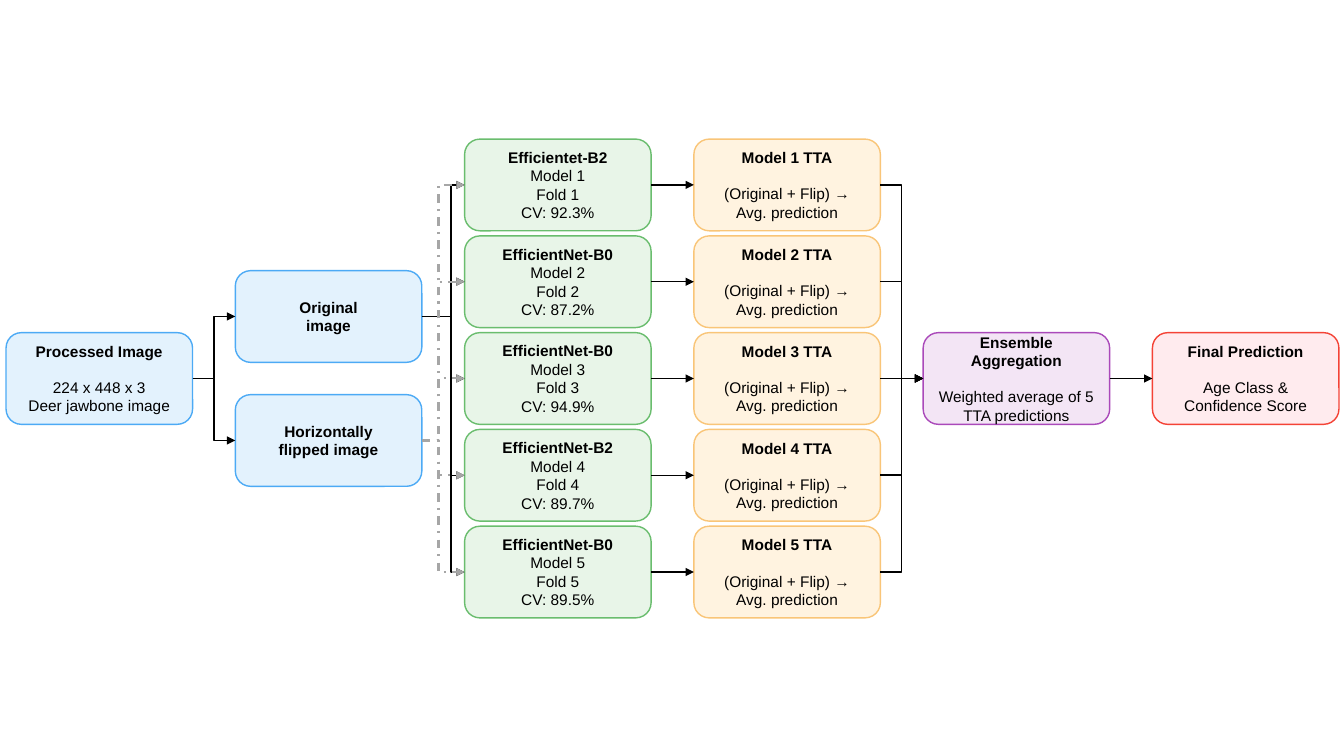
from dataclasses import dataclass

from lxml import etree
from pptx import Presentation
from pptx import util as u
from pptx.dml.color import RGBColor
from pptx.enum import dml, shapes, text
from pptx.oxml import ns


@dataclass(frozen=True)
class Theme:
    font: str = "Arial"
    size: float = 11
    gap: float = 12.6
    ink: str = "000000"
    muted: str = "A6A6A6"
    thin: float = 1
    thick: float = 1.5
    image: tuple = ("E3F2FD", "4CAAF5")
    model: tuple = ("E8F5E8", "6ABD6E")
    average: tuple = ("FFF3E0", "F9C578")
    ensemble: tuple = ("F3E5F5", "AA49BA")
    final: tuple = ("FFEBEE", "F44336")


BOX_WIDTH, BOX_HEIGHT = 1.85, 0.91
FIRST_LEFT, LAST_LEFT, COLUMNS = 0.06, 11.43, 6
COLUMN_PITCH = (LAST_LEFT - FIRST_LEFT) / (COLUMNS - 1)
MIDDLE_TOP = 3.3
IMAGE_PITCH, MODEL_PITCH = 1.23, 0.96
RIGHT_SIDE, LEFT_SIDE = 3, 1


class Diagram:
    def __init__(self, page, theme):
        self.page = page
        self.theme = theme

    def box(self, column, colours, heading, body=(), offset=0, gap=True):
        fill, outline = colours
        box = self.page.shapes.add_shape(
            shapes.MSO_SHAPE.ROUNDED_RECTANGLE,
            u.Inches(FIRST_LEFT + column * COLUMN_PITCH),
            u.Inches(MIDDLE_TOP + offset),
            u.Inches(BOX_WIDTH),
            u.Inches(BOX_HEIGHT),
        )
        box.shadow.inherit = False
        box.fill.solid()
        box.fill.fore_color.rgb = RGBColor.from_string(fill)
        box.line.color.rgb = RGBColor.from_string(outline)
        box.line.width = u.Pt(self.theme.thin)
        frame = box.text_frame
        frame.word_wrap = True
        frame.vertical_anchor = text.MSO_ANCHOR.MIDDLE
        lines = [(line, True) for line in heading] + [(line, False) for line in body]
        for index, (line, bold) in enumerate(lines):
            para = frame.paragraphs[0] if index == 0 else frame.add_paragraph()
            para.alignment = text.PP_ALIGN.CENTER
            if gap and index == len(heading):
                para.space_before = u.Pt(self.theme.gap)
            span = para.add_run()
            span.text = line
            span.font.name = self.theme.font
            span.font.size = u.Pt(self.theme.size)
            span.font.bold = bold
            span.font.color.rgb = RGBColor.from_string(self.theme.ink)
        return box

    def stack(self, column, colours, entries, pitch, gap=True):
        middle = (len(entries) - 1) / 2
        return [
            self.box(column, colours, heading, body, (index - middle) * pitch, gap)
            for index, (heading, body) in enumerate(entries)
        ]

    def arrow(self, source, target, bend=0.5, dashed=False):
        level = source.top == target.top
        kind = shapes.MSO_CONNECTOR.STRAIGHT if level else shapes.MSO_CONNECTOR.ELBOW
        arrow = self.page.shapes.add_connector(
            kind,
            source.left + source.width,
            source.top + source.height // 2,
            target.left,
            target.top + target.height // 2,
        )
        arrow.begin_connect(source, RIGHT_SIDE)
        arrow.end_connect(target, LEFT_SIDE)
        theme = self.theme
        arrow.line.color.rgb = RGBColor.from_string(theme.muted if dashed else theme.ink)
        arrow.line.width = u.Pt(theme.thick if dashed else theme.thin)
        if dashed:
            arrow.line.dash_style = dml.MSO_LINE.DASH_DOT
        properties = arrow.element.spPr
        if not level:
            guides = properties.find(ns.qn("a:prstGeom")).find(ns.qn("a:avLst"))
            etree.SubElement(
                guides, ns.qn("a:gd"), name="adj1", fmla=f"val {round(bend * 100000)}"
            )
        outline = properties.find(ns.qn("a:ln"))
        etree.SubElement(outline, ns.qn("a:tailEnd"), type="triangle")
        etree.SubElement(properties, ns.qn("a:effectLst"))


def main():
    deck = Presentation()
    deck.slide_width, deck.slide_height = u.Inches(13.33), u.Inches(7.5)
    theme = Theme()
    diagram = Diagram(deck.slides.add_slide(deck.slide_layouts[6]), theme)

    processed = diagram.box(
        0, theme.image, ["Processed Image"], ["224 x 448 x 3", "Deer jawbone image"]
    )
    plain, flipped = diagram.stack(
        1,
        theme.image,
        [(["Original", "image"], []), (["Horizontally", "flipped image"], [])],
        IMAGE_PITCH,
    )
    networks = [
        ("Efficientet-B2", "92.3%"),
        ("EfficientNet-B0", "87.2%"),
        ("EfficientNet-B0", "94.9%"),
        ("EfficientNet-B2", "89.7%"),
        ("EfficientNet-B0", "89.5%"),
    ]
    models = diagram.stack(
        2,
        theme.model,
        [
            ([name], [f"Model {number}", f"Fold {number}", f"CV: {score}"])
            for number, (name, score) in enumerate(networks, 1)
        ],
        MODEL_PITCH,
        gap=False,
    )
    averages = diagram.stack(
        3,
        theme.average,
        [
            ([f"Model {number} TTA"], ["(Original + Flip) → Avg. prediction"])
            for number in range(1, len(networks) + 1)
        ],
        MODEL_PITCH,
    )
    ensemble = diagram.box(
        4, theme.ensemble, ["Ensemble Aggregation"], ["Weighted average of 5 TTA predictions"]
    )
    final = diagram.box(5, theme.final, ["Final Prediction"], ["Age Class & Confidence Score"])

    diagram.arrow(ensemble, final)
    for image in (plain, flipped):
        diagram.arrow(processed, image)
    for model, average in zip(models, averages):
        diagram.arrow(model, average)
        diagram.arrow(average, ensemble)
    for model in models:
        diagram.arrow(plain, model, bend=0.68)
    for model in models:
        diagram.arrow(flipped, model, bend=0.39, dashed=True)

    deck.save("out.pptx")


if __name__ == "__main__":
    main()
